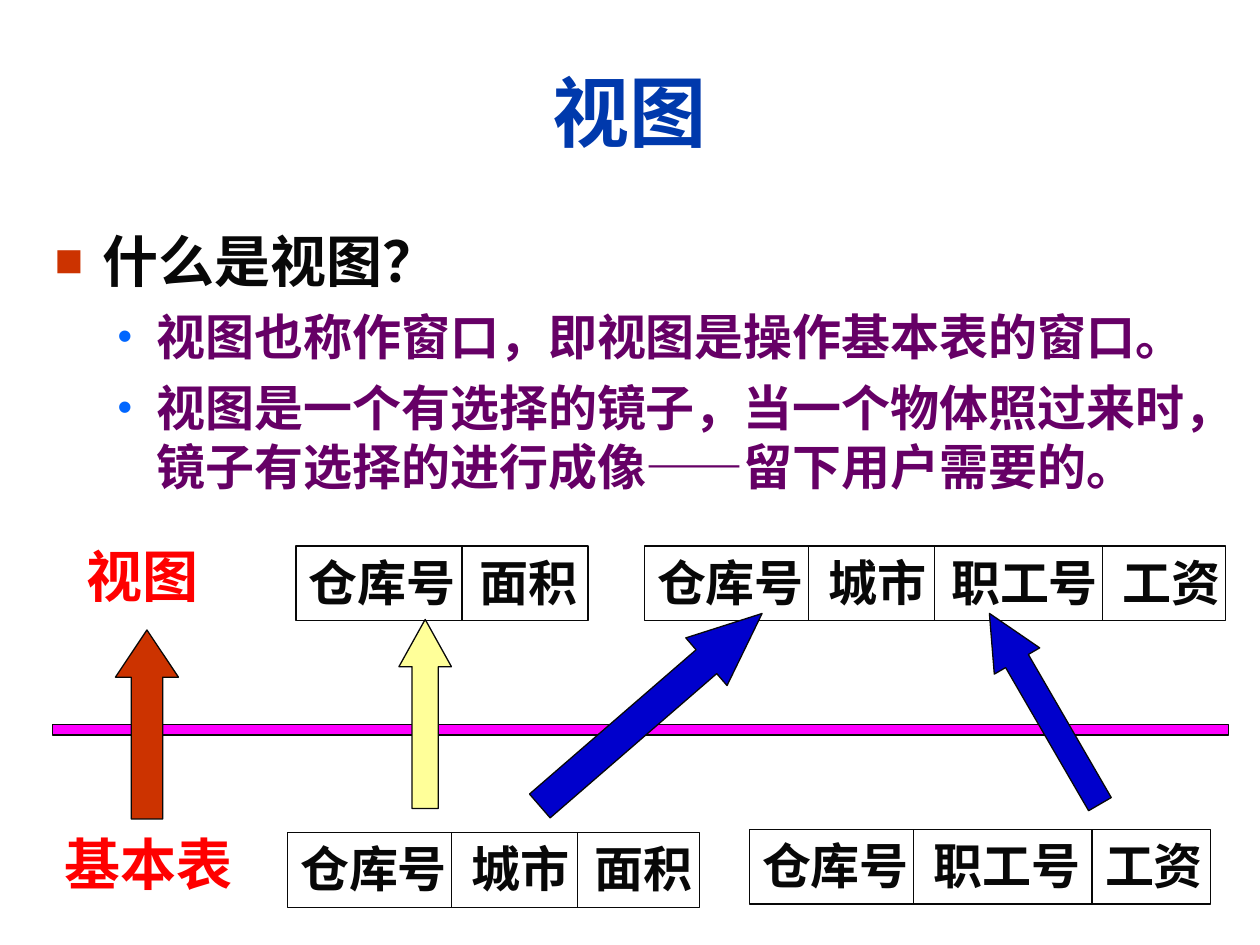
from lxml.etree import SubElement
from pptx import Presentation
from pptx.dml.color import RGBColor
from pptx.enum.shapes import MSO_CONNECTOR, MSO_SHAPE
from pptx.enum.text import MSO_ANCHOR, MSO_AUTO_SIZE, PP_ALIGN
from pptx.oxml.ns import qn
from pptx.util import Inches, Pt

BLUE = RGBColor(0x00, 0x39, 0xAC)
BLACK = RGBColor(0x08, 0x08, 0x08)
PURPLE = RGBColor(0x66, 0x00, 0x66)
RED = RGBColor(0xFF, 0x00, 0x00)
MAGENTA = RGBColor(0xFF, 0x00, 0xFF)
RUST = RGBColor(0xCC, 0x33, 0x00)
YELLOW = RGBColor(0xFF, 0xFF, 0x99)
NAVY = RGBColor(0x00, 0x00, 0xCC)
BULLET_BLUE = RGBColor(0x00, 0x66, 0xFF)

FIELD_PT = 28
FIELD_GAP_PT = 14
ROW_H = 7.1  # height of a field row in grid units


def grid(*units):
    """Lengths on a grid of 120 columns by 90 rows, twelve to the inch."""
    return [Inches(n / 12) for n in units]


def style_runs(p, size, color, font):
    for r in p.runs:
        r.font.size, r.font.bold, r.font.name = Pt(size), True, font
        r.font.color.rgb = color


def outline(sp, fill=None):
    sp.shadow.inherit = False
    if fill is None:
        sp.fill.background()
    else:
        sp.fill.solid()
        sp.fill.fore_color.rgb = fill
    sp.line.color.rgb = BLACK
    sp.line.width = Pt(0.75)


def place(sp, box):
    sp.left, sp.top, sp.width, sp.height = grid(*box)


def set_bullet(p, char, color, left, hang):
    pPr = p._p.get_or_add_pPr()
    pPr.set("marL", str(Inches(left)))
    pPr.set("indent", str(-Inches(hang)))
    SubElement(SubElement(pPr, qn("a:buClr")), qn("a:srgbClr"), val=str(color))
    SubElement(pPr, qn("a:buSzPct"), val="85000")
    SubElement(pPr, qn("a:buFont"), typeface="Arial")
    SubElement(pPr, qn("a:buChar"), char=char)


def fill_title(sp, box, text):
    place(sp, box)
    tf = sp.text_frame
    tf.text = text
    tf.auto_size = MSO_AUTO_SIZE.NONE
    tf.vertical_anchor = MSO_ANCHOR.MIDDLE
    tf.paragraphs[0].alignment = PP_ALIGN.CENTER
    style_runs(tf.paragraphs[0], 44, BLUE, "Arial")


def fill_body(sp, box, heading, points):
    place(sp, box)
    tf = sp.text_frame
    tf.text = "\n".join([heading, *points])
    tf.auto_size = MSO_AUTO_SIZE.NONE
    first, *rest = tf.paragraphs
    first.space_before = Pt(8)
    set_bullet(first, "■", RUST, 0.38, 0.38)
    style_runs(first, 32, BLACK, "Arial")
    for p in rest:
        p.level = 1
        p.space_before = Pt(7)
        set_bullet(p, "•", BULLET_BLUE, 0.81, 0.31)
        style_runs(p, 28, PURPLE, "Arial")


def add_field_row(s, left, top, width, fields, dividers):
    """Framed row of field names; dividers are offsets from its left edge."""
    group = s.shapes.add_group_shape()
    sp = group.shapes.add_shape(MSO_SHAPE.RECTANGLE, *grid(left, top, width, ROW_H))
    outline(sp)
    tf = sp.text_frame
    tf.word_wrap = True
    tf.margin_right = 0
    tf.vertical_anchor = MSO_ANCHOR.TOP
    p = tf.paragraphs[0]
    p.text = "\t".join(fields)
    p.alignment = PP_ALIGN.LEFT
    style_runs(p, FIELD_PT, BLACK, "Times New Roman")
    tabs = SubElement(p._p.get_or_add_pPr(), qn("a:tabLst"))
    stop = 0
    for field in fields[:-1]:
        stop += FIELD_PT * len(field) + FIELD_GAP_PT
        SubElement(tabs, qn("a:tab"), pos=str(Pt(stop)), algn="l")
    for offset in dividers:
        x = left + offset
        line = group.shapes.add_connector(
            MSO_CONNECTOR.STRAIGHT, *grid(x, top, x, top + ROW_H))
        line.line.color.rgb = BLACK
        line.line.width = Pt(0.75)
        SubElement(line._element.spPr, qn("a:effectLst"))


def add_arrow(s, box, color, head, rotation=0):
    sp = s.shapes.add_shape(MSO_SHAPE.UP_ARROW, *grid(*box))
    outline(sp, color)
    sp.adjustments[0], sp.adjustments[1] = 0.5, head
    sp.rotation = rotation


def add_label(s, box, text):
    tf = s.shapes.add_textbox(*grid(*box)).text_frame
    tf.text = text
    tf.word_wrap = False
    tf.paragraphs[0].alignment = PP_ALIGN.CENTER
    style_runs(tf.paragraphs[0], 32, RED, "Times New Roman")


def add_diagram(s):
    """Base tables below the separator, views above it, arrows between."""
    outline(s.shapes.add_shape(MSO_SHAPE.RECTANGLE, *grid(5, 69, 112, 1)), MAGENTA)

    rows = [
        (27.4, 79.3, 39.2, ["仓库号", "城市", "面积"], [15.6, 27.6]),
        (71.4, 79, 43.9, ["仓库号", "职工号", "工资"], [15.6, 32.6]),
        (61.4, 52, 55.3, ["仓库号", "城市", "职工号", "工资"], [15.6, 27.6, 43.6]),
        (28.2, 52, 27.8, ["仓库号", "面积"], [15.8]),
    ]
    for row in rows:
        add_field_row(s, *row)

    add_arrow(s, (38, 59, 5, 18), YELLOW, 0.9)
    add_arrow(s, (59, 53.6, 6, 28), NAVY, 1.17, 49.1)
    add_arrow(s, (97, 57, 5, 21), NAVY, 1.05, 329.9)
    add_label(s, (5, 78.4, 18.4, 7.7), "基本表")
    add_label(s, (7, 51, 13.1, 7.7), "视图")
    add_arrow(s, (11, 60, 6, 18), RUST, 0.75)


def main():
    prs = Presentation()
    prs.slide_width, prs.slide_height = grid(120, 90)
    s = prs.slides.add_slide(prs.slide_layouts[1])
    fill_title(s.shapes.title, (4, 3, 112, 15), "视图")
    fill_body(s.placeholders[1], (4, 21, 112, 34), "什么是视图？", [
        "视图也称作窗口，即视图是操作基本表的窗口。",
        "视图是一个有选择的镜子，当一个物体照过来时，"
        "镜子有选择的进行成像——留下用户需要的。",
    ])
    add_diagram(s)
    prs.save("out.pptx")


if __name__ == "__main__":
    main()
